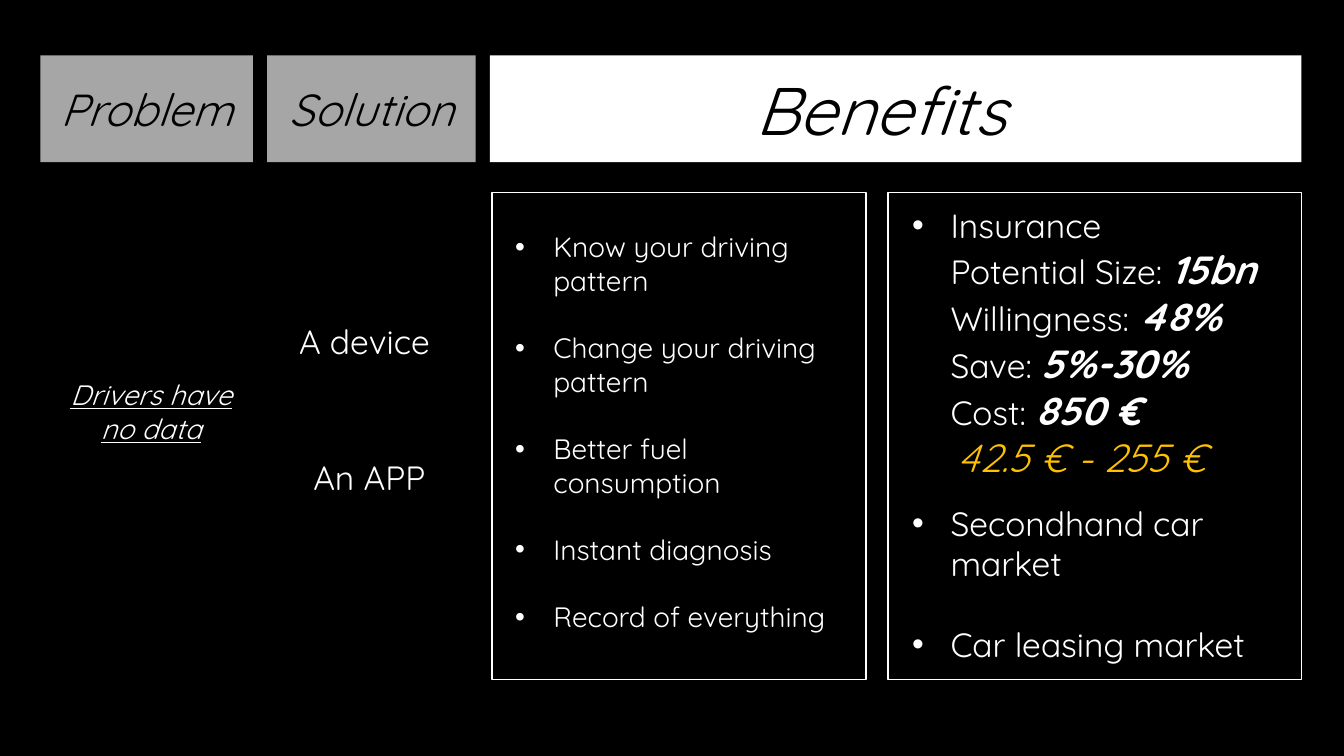
import pptx
import pptx.util
import pptx.dml.color
import pptx.enum.shapes
import pptx.enum.text
from lxml import etree

Pt = pptx.util.Pt
RGBColor = pptx.dml.color.RGBColor
RECT = pptx.enum.shapes.MSO_SHAPE.RECTANGLE
ALIGN = pptx.enum.text.PP_ALIGN
ANCHOR = pptx.enum.text.MSO_ANCHOR
FIT = pptx.enum.text.MSO_AUTO_SIZE

BLACK = RGBColor(0x00, 0x00, 0x00)
WHITE = RGBColor(0xFF, 0xFF, 0xFF)
GRAY = RGBColor(0xA6, 0xA6, 0xA6)
GOLD = RGBColor(0xFE, 0xC1, 0x02)
FONT = "Quicksand"
HANG = 27.36
NS = "http://schemas.openxmlformats.org/drawingml/2006/main"


def style(run, size, color, bold=False, italic=False, line=False):
    font = run.font
    font.name, font.size, font.color.rgb = FONT, Pt(size), color
    font.bold, font.italic, font.underline = bold, italic, line


def place(shape, left, top, width, height):
    shape.left, shape.top = Pt(left), Pt(top)
    shape.width, shape.height = Pt(width), Pt(height)


def head(shape, text, size, fill):
    """Fill a column heading and centre its text."""
    shape.fill.solid()
    shape.fill.fore_color.rgb = fill
    frame = shape.text_frame
    frame.text = text
    frame.auto_size = FIT.NONE
    frame.vertical_anchor = ANCHOR.MIDDLE
    para = frame.paragraphs[0]
    para.alignment = ALIGN.CENTER
    style(para.runs[0], size, BLACK, italic=True)


def box(slide, left, top, width, height):
    shape = slide.shapes.add_shape(
        RECT, Pt(left), Pt(top), Pt(width), Pt(height))
    shape.shadow.inherit = False
    return shape


def panel(slide, text, left, width):
    shape = box(slide, left, 39.6, width, 76.3)
    shape.line.fill.background()
    head(shape, text, 32, GRAY)


def border(slide, left, width):
    shape = box(slide, left, 137.5, width, 347.8)
    shape.fill.background()
    shape.line.color.rgb = WHITE
    shape.line.width = Pt(1)


def label(slide, text, left, top, width, height, size, **look):
    shape = slide.shapes.add_textbox(
        Pt(left), Pt(top), Pt(width), Pt(height))
    frame = shape.text_frame
    frame.word_wrap = True
    frame.text = text
    para = frame.paragraphs[0]
    style(para.runs[0], size, WHITE, **look)
    return para


def point(para, runs, gap=0, bullet=True, left=HANG):
    """Write one list line; runs hold text, size, colour, bold and italic."""
    props = para._p.get_or_add_pPr()
    props.set("marL", str(Pt(left)))
    props.set("indent", str(-Pt(left) if bullet else 0))
    if bullet:
        etree.SubElement(props, f"{{{NS}}}buChar").set("char", "•")
    else:
        etree.SubElement(props, f"{{{NS}}}buNone")
    para.line_spacing = 1.0
    para.space_before, para.space_after = Pt(gap), Pt(0)
    for text, *look in runs:
        run = para.add_run()
        run.text = text
        style(run, *look)


def fill_list(body, lines):
    """Give the placeholder one paragraph for each set of point options."""
    frame = body.text_frame
    frame.auto_size = FIT.NONE
    for i, line in enumerate(lines):
        para = frame.add_paragraph() if i else frame.paragraphs[0]
        point(para, **line)


def main():
    deck = pptx.Presentation()
    deck.slide_width, deck.slide_height = Pt(960), Pt(540)
    slide = deck.slides.add_slide(deck.slide_layouts[3])
    slide.background.fill.solid()
    slide.background.fill.fore_color.rgb = BLACK
    title, driver, market = slide.placeholders

    # Column headings
    place(title, 350, 39.6, 579.6, 76.3)
    head(title, "Benefits", 48, WHITE)
    title.text_frame.margin_right = Pt(28.8)
    panel(slide, "Problem", 28.8, 151.9)
    panel(slide, "Solution", 190.8, 149)

    # Problem and solution
    need = label(slide, "Drivers have no data", 40.3, 266.4, 135.4, 55.4,
                 20, italic=True, line=True)
    need.alignment = ALIGN.CENTER
    label(slide, "A device", 206.6, 225.4, 146.9, 36, 24)
    label(slide, "An APP", 216.7, 322.6, 146.9, 36, 24)

    # Benefits for drivers
    gains = ["Know your driving pattern", "Change your driving pattern",
             "Better fuel consumption", "Instant diagnosis",
             "Record of everything"]
    place(driver, 360.7, 160.6, 248.4, 322.6)
    fill_list(driver, [dict(runs=[(text, 20, WHITE)], gap=24 if i else 0)
                       for i, text in enumerate(gains)])

    # Benefits for markets
    facts = [("Potential Size: ", "15bn"), ("Willingness: ", "48%"),
             ("Save: ", "5%-30%"), ("Cost: ", "850 €")]
    lines = [dict(runs=[("Insurance", 24, WHITE)])]
    lines += [dict(runs=[(name, 24, WHITE), (value, 28, WHITE, True, True)],
                   bullet=False) for name, value in facts]
    lines += [
        dict(runs=[("42.5 € - 255 €", 28, GOLD, False, True)],
             bullet=False, left=32),
        dict(runs=[("Secondhand car market", 24, WHITE)], gap=16),
        dict(runs=[("Car leasing market", 24, WHITE)], gap=29),
    ]
    place(market, 644.4, 142.6, 275.8, 338.4)
    fill_list(market, lines)

    # Frames around the benefits
    border(slide, 351.4, 267.1)
    border(slide, 634.3, 295.2)

    deck.save("out.pptx")


if __name__ == "__main__":
    main()
